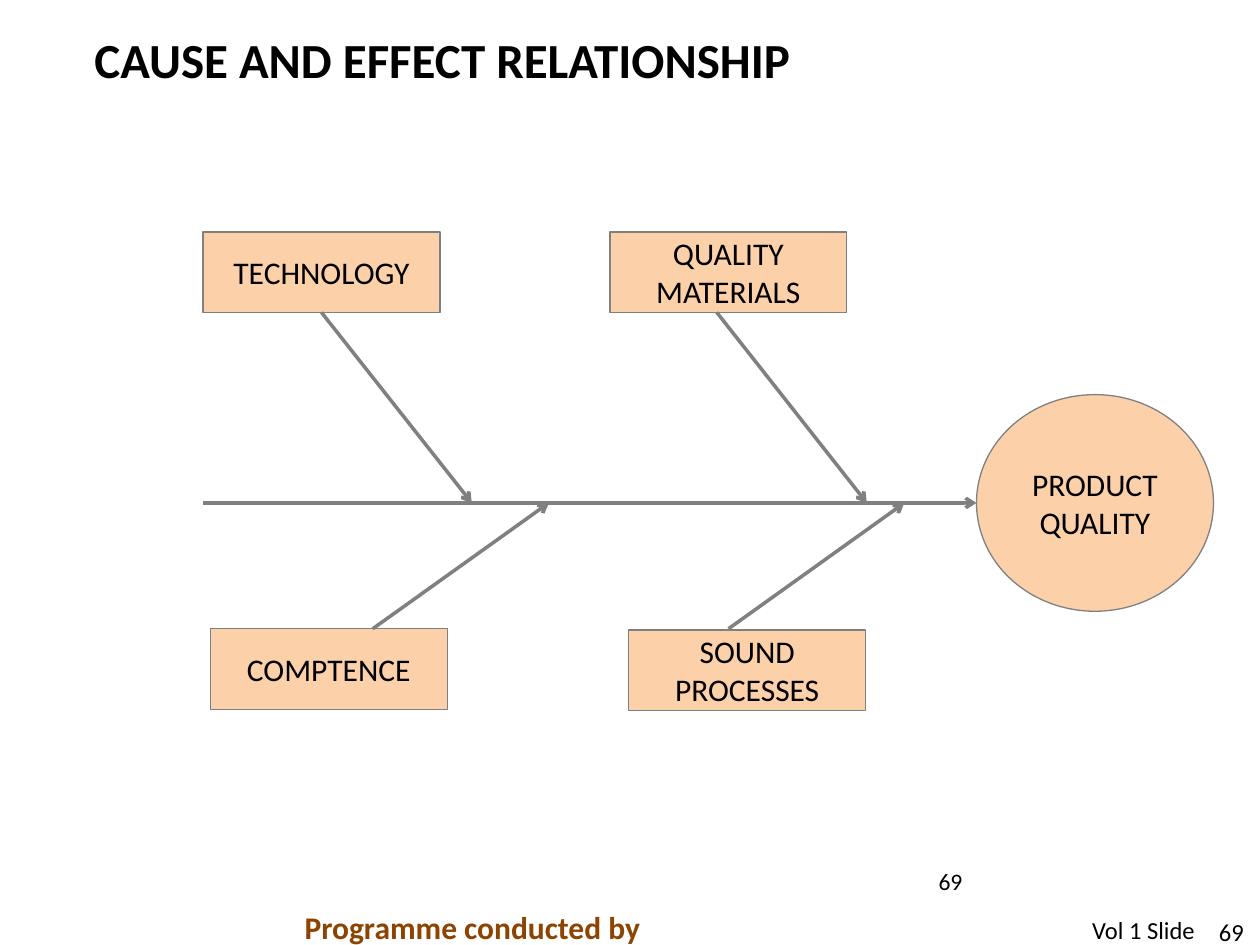
from lxml.etree import SubElement as Sub
from pptx import Presentation
from pptx.dml.color import RGBColor as Rgb
from pptx.enum.shapes import MSO_CONNECTOR as Link, MSO_SHAPE as Kind
from pptx.enum.text import MSO_ANCHOR as Anchor, PP_ALIGN as Align
from pptx.oxml.ns import qn
from pptx.util import Pt

HUE = {"ink": "000000", "peach": "FCD1AA", "gray": "808080", "brown": "8D4400"}
FONT = "Calibri"
PAD = (7.2, 3.6)
NONE = (0, 0)
LEFT, RIGHT, MID = Align.LEFT, Align.RIGHT, Align.CENTER
TOP, LOW, CORE = Anchor.TOP, Anchor.BOTTOM, Anchor.MIDDLE

LABELS = [
    ("69", (683.3, 523.4, 27.4, 17.3), 14, "ink", False, RIGHT, LOW, NONE),
    ("Programme conducted by", (167, 515.5, 208, 28.8), 18, "brown", True, LEFT, TOP, PAD),
    ("Vol 1 Slide", (617, 519.1, 74.2, 24.5), 14, "ink", False, LEFT, TOP, PAD),
    ("CAUSE AND EFFECT RELATIONSHIP", (54, 16.6, 429.8, 33.8), 28, "ink", True, LEFT, LOW, NONE),
    ("69", (529.2, 491.8, 149.8, 36), 13.5, "ink", False, LEFT, TOP, PAD),
]
EFFECT = ("PRODUCT QUALITY", (558, 225.5, 135.4, 123.8))
BOX = (135.4, 46)
CAUSES = [
    ("TECHNOLOGY", 116, 132.5),
    ("COMPTENCE", 120.2, 359.3),
    ("SOUND PROCESSES", 359.3, 360),
    ("QUALITY MATERIALS", 348.5, 132.5),
]
SPINE = 287.4
START = 116
BONES = [
    (183.7, 178.5, 269.6),
    (409.6, 178.5, 495.3),
    (213, 359.3, 313.6),
    (416.3, 359.3, 516.8),
]


def tint(name):
    return Rgb.from_string(HUE[name])


def write(shape, text, size, hue, bold, align, anchor, pad):
    frame = shape.text_frame
    frame.word_wrap = True
    frame.vertical_anchor = anchor
    frame.margin_left = frame.margin_right = Pt(pad[0])
    frame.margin_top = frame.margin_bottom = Pt(pad[1])
    para = frame.paragraphs[0]
    para.alignment = align
    run = para.add_run()
    run.text = text
    run.font.name = FONT
    run.font.size = Pt(size)
    run.font.bold = bold
    run.font.color.rgb = tint(hue)


def block(slide, kind, text, area):
    shape = slide.shapes.add_shape(kind, *map(Pt, area))
    shape.shadow.inherit = False
    shape.fill.solid()
    shape.fill.fore_color.rgb = tint("peach")
    shape.line.color.rgb = tint("gray")
    shape.line.width = Pt(0.75)
    write(shape, text, 18, "ink", False, MID, CORE, PAD)


def arrow(slide, *ends):
    line = slide.shapes.add_connector(Link.STRAIGHT, *map(Pt, ends))
    line.line.color.rgb = tint("gray")
    line.line.width = Pt(2)
    Sub(line.line._get_or_add_ln(), qn("a:tailEnd"), type="arrow")
    Sub(line._element.spPr, qn("a:effectLst"))


def main():
    deck = Presentation()
    deck.slide_width, deck.slide_height = Pt(720), Pt(540)
    slide = deck.slides.add_slide(deck.slide_layouts[6])
    for text, area, *style in LABELS:
        write(slide.shapes.add_textbox(*map(Pt, area)), text, *style)
    block(slide, Kind.OVAL, *EFFECT)
    arrow(slide, START, SPINE, EFFECT[1][0], SPINE)
    for text, left, top in CAUSES:
        block(slide, Kind.RECTANGLE, text, (left, top, *BOX))
    for left, top, tip in BONES:
        arrow(slide, left, top, tip, SPINE)
    deck.save("out.pptx")


if __name__ == "__main__":
    main()
